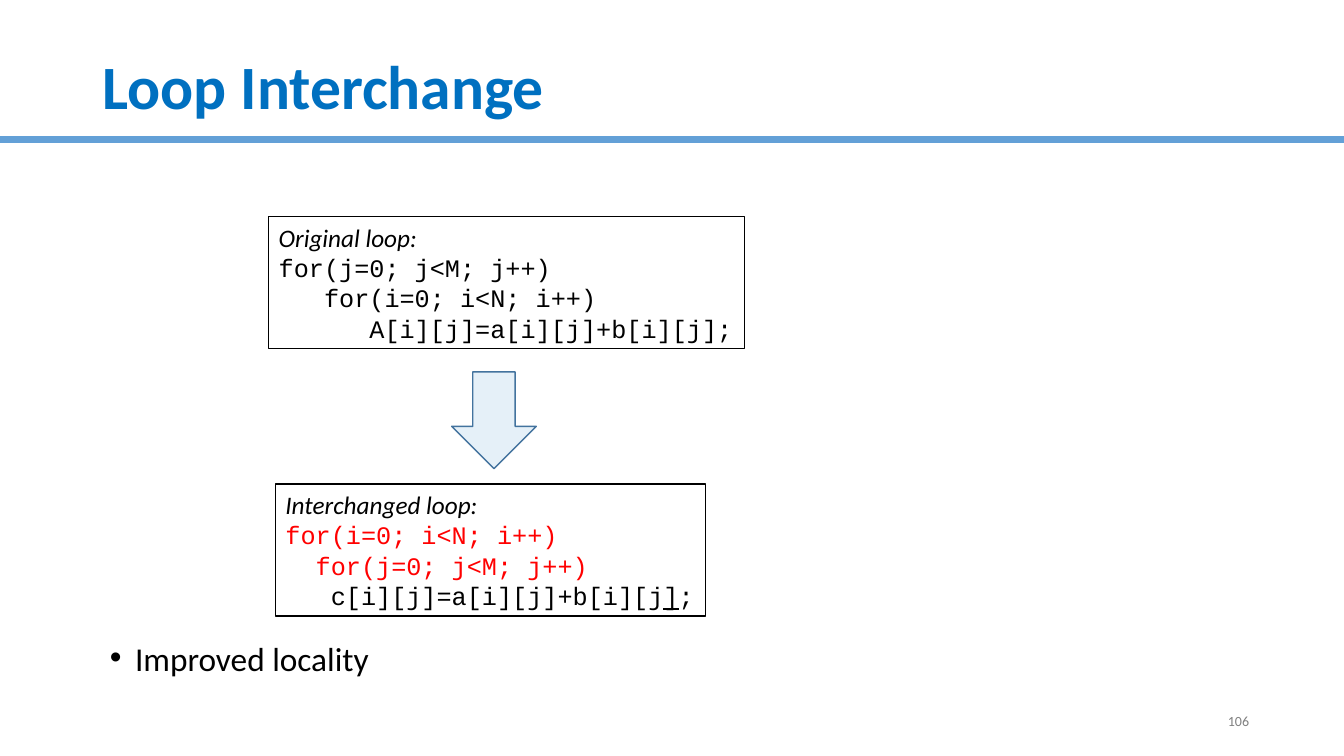
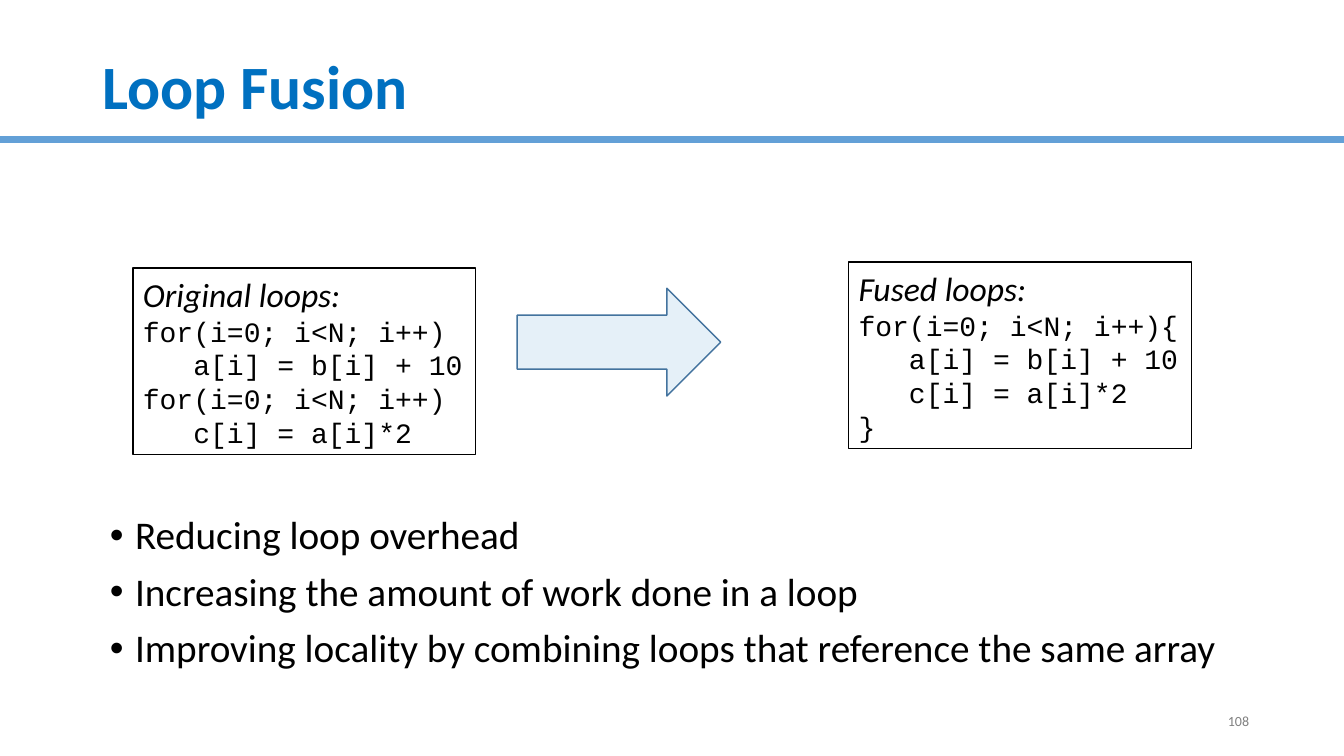
from lxml.etree import SubElement
from pptx import Presentation
from pptx.dml.color import RGBColor
from pptx.enum.shapes import MSO_CONNECTOR as Connector, MSO_SHAPE as Preset
from pptx.enum.text import MSO_ANCHOR as Anchor, MSO_AUTO_SIZE as AutoSize, PP_ALIGN as Align
from pptx.oxml.ns import qn
from pptx.util import Pt


def color(value):
    """Turn a hex string into a colour."""
    return RGBColor.from_string(value)


def add_text(paragraph, text, size=18, font="Calibri", fill="000000", **style):
    """Append a run; style takes bold, italic and underline."""
    run = paragraph.add_run()
    run.text = text
    run.font.size = Pt(size)
    run.font.name = font
    run.font.color.rgb = color(fill)
    for name, value in style.items():
        setattr(run.font, name, value)


def place(shape, left, top, width, height):
    """Move and size a shape, in points."""
    shape.left, shape.top = Pt(left), Pt(top)
    shape.width, shape.height = Pt(width), Pt(height)


class Deck:
    """Shared style and the slide being built."""

    WIDTH, HEIGHT = 960, 540
    TITLE, RULE, ARROW, OUTLINE = "0070C0", "63A0D7", "0070C0", "43739E"
    BLACK, GREY = "000000", "808080"
    CODE = "Courier New"

    def __init__(self):
        """Start an empty widescreen presentation."""
        self.presentation = Presentation()
        self.presentation.slide_width = Pt(self.WIDTH)
        self.presentation.slide_height = Pt(self.HEIGHT)
        self.slide = None

    def new_slide(self, title, number):
        """Add a slide with its rule, title and page number."""
        layout = self.presentation.slide_layouts[1]
        self.slide = self.presentation.slides.add_slide(layout)
        self.rule(99.36)
        self.title(title)
        self.page_number(number)

    def rule(self, top):
        """Draw the line under the title."""
        line = self.slide.shapes.add_connector(
            Connector.STRAIGHT, Pt(0), Pt(top), Pt(self.WIDTH), Pt(top))
        line.line.color.rgb = color(self.RULE)
        line.line.width = Pt(5)
        SubElement(line._element.spPr, qn("a:effectLst"))

    def title(self, text):
        """Fill the title placeholder."""
        shape = self.slide.shapes.title
        place(shape, 66, 28.8, 828, 70.56)
        frame = shape.text_frame
        frame.auto_size = AutoSize.NONE
        frame.vertical_anchor = Anchor.MIDDLE
        paragraph = frame.paragraphs[0]
        paragraph.alignment = Align.LEFT
        paragraph.line_spacing = 0.9
        add_text(paragraph, text, 44, fill=self.TITLE, bold=True)

    def page_number(self, number):
        """Write the page number at the lower right."""
        box = self.slide.shapes.add_textbox(Pt(683.3), Pt(500.4), Pt(216), Pt(28.8))
        frame = box.text_frame
        frame.word_wrap = True
        frame.vertical_anchor = Anchor.MIDDLE
        paragraph = frame.paragraphs[0]
        paragraph.alignment = Align.RIGHT
        add_text(paragraph, str(number), 10, fill=self.GREY)

    def bullets(self, items, top, height, size=28, spacing=0.9):
        """Fill the body placeholder with a bulleted list."""
        shape = self.slide.placeholders[1]
        place(shape, 71.3, top, 828, height)
        frame = shape.text_frame
        frame.auto_size = AutoSize.NONE
        for index, item in enumerate(items):
            paragraph = frame.add_paragraph() if index else frame.paragraphs[0]
            paragraph.line_spacing = spacing
            paragraph.space_before = Pt(10 if index else 0)
            properties = paragraph._p.get_or_add_pPr()
            properties.set("marL", str(Pt(18)))
            properties.set("indent", str(-Pt(18)))
            SubElement(properties, qn("a:buFont"), typeface="Arial")
            SubElement(properties, qn("a:buChar"), char="•")
            add_text(paragraph, item, size)

    def code_box(self, area, heading, lines, heading_size=18, size=18):
        """Draw a framed listing; each line is a list of (text, format) runs."""
        box = self.slide.shapes.add_shape(Preset.RECTANGLE, *map(Pt, area))
        box.shadow.inherit = False
        box.fill.background()
        box.line.color.rgb = color(self.BLACK)
        box.line.width = Pt(1)
        frame = box.text_frame
        frame.word_wrap = False
        frame.auto_size = AutoSize.SHAPE_TO_FIT_TEXT
        frame.vertical_anchor = Anchor.MIDDLE
        paragraph = frame.paragraphs[0]
        paragraph.alignment = Align.LEFT
        add_text(paragraph, heading, heading_size, italic=True)
        for line in lines:
            paragraph = frame.add_paragraph()
            paragraph.alignment = Align.LEFT
            runs = [(line, {})] if isinstance(line, str) else line
            for text, style in runs:
                add_text(paragraph, text, size, self.CODE, **style)

    def arrow(self, preset, area):
        """Draw a pale block arrow."""
        shape = self.slide.shapes.add_shape(preset, *map(Pt, area))
        shape.shadow.inherit = False
        shape.fill.solid()
        shape.fill.fore_color.rgb = color(self.ARROW)
        fill = shape._element.spPr.find(qn("a:solidFill"))
        SubElement(fill[0], qn("a:alpha"), val="10000")
        shape.line.color.rgb = color(self.OUTLINE)
        shape.line.width = Pt(1)


def main():
    """Build and save both slides."""
    deck = Deck()
    red = {"fill": "FF0000"}

    deck.new_slide("Loop Interchange", 106)
    deck.code_box((192, 154.8, 340, 94.3), "Original loop:", [
        "for(j=0; j<M; j++)",
        "   for(i=0; i<N; i++)",
        "      A[i][j]=a[i][j]+b[i][j];",
    ])
    deck.code_box((196.8, 345.6, 307.4, 94.3), "Interchanged loop:", [
        [("for(i=0; i<N; i++)", red)],
        [("  for(j=0; j<M; j++)", red)],
        [("   c[i][j]=a[i][j]+b[i][j", {}), ("]", {"underline": True}), (";", {})],
    ])
    deck.arrow(Preset.DOWN_ARROW, (322.6, 265.7, 60.5, 69.1))
    deck.bullets(["Improved locality"], 460, 28.8, size=23.8, spacing=0.7)

    deck.new_slide("Loop Fusion", 108)
    deck.code_box((95, 191.5, 244.8, 133.2), "Original loops:", [
        "for(i=0; i<N; i++)",
        "   a[i] = b[i] + 10",
        "for(i=0; i<N; i++)",
        "   c[i] = a[i]*2",
    ], heading_size=24, size=20)
    deck.code_box((606.2, 187.2, 244.8, 133.2), "Fused loops:", [
        "for(i=0; i<N; i++){",
        "   a[i] = b[i] + 10",
        "   c[i] = a[i]*2",
        "}",
    ], heading_size=24, size=20)
    deck.arrow(Preset.RIGHT_ARROW, (369.4, 205.9, 145.4, 77))
    deck.bullets([
        "Reducing loop overhead",
        "Increasing the amount of work done in a loop",
        "Improving locality by combining loops that reference the same array",
    ], 365, 123.1)

    deck.presentation.save("out.pptx")


if __name__ == "__main__":
    main()
